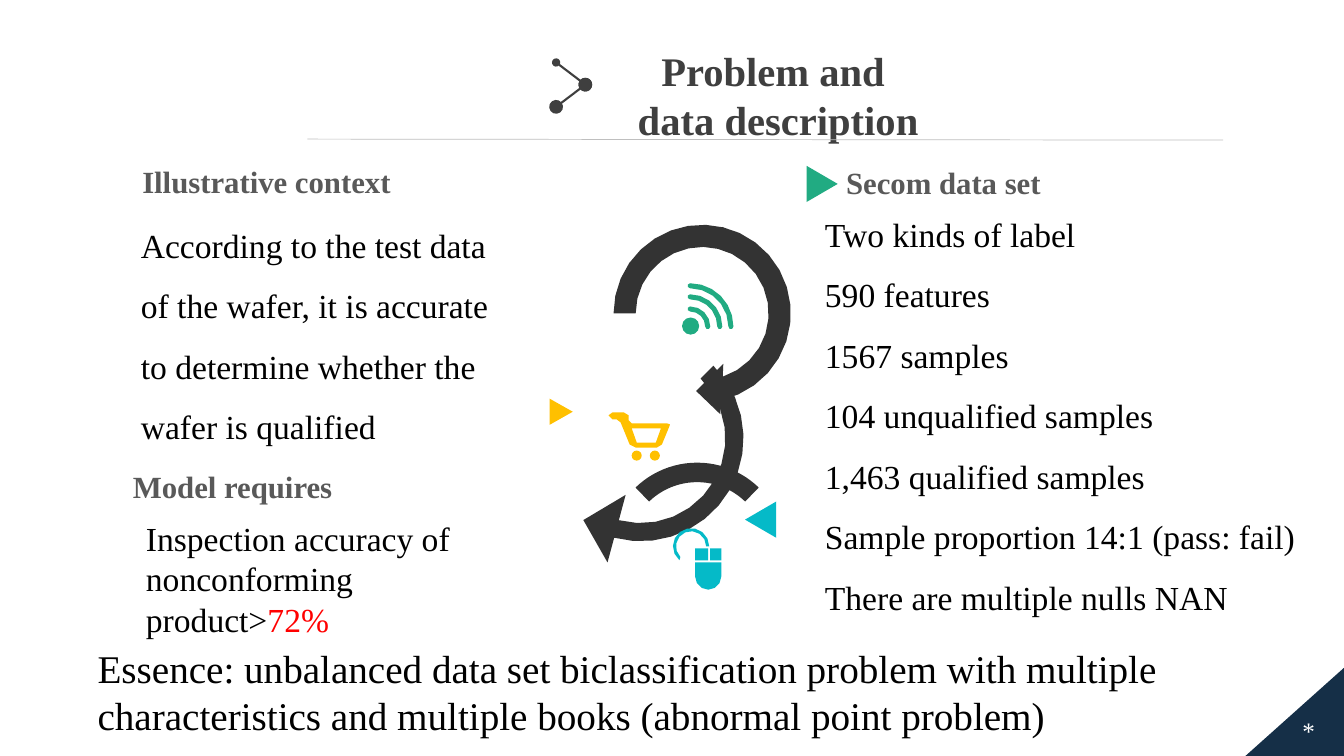
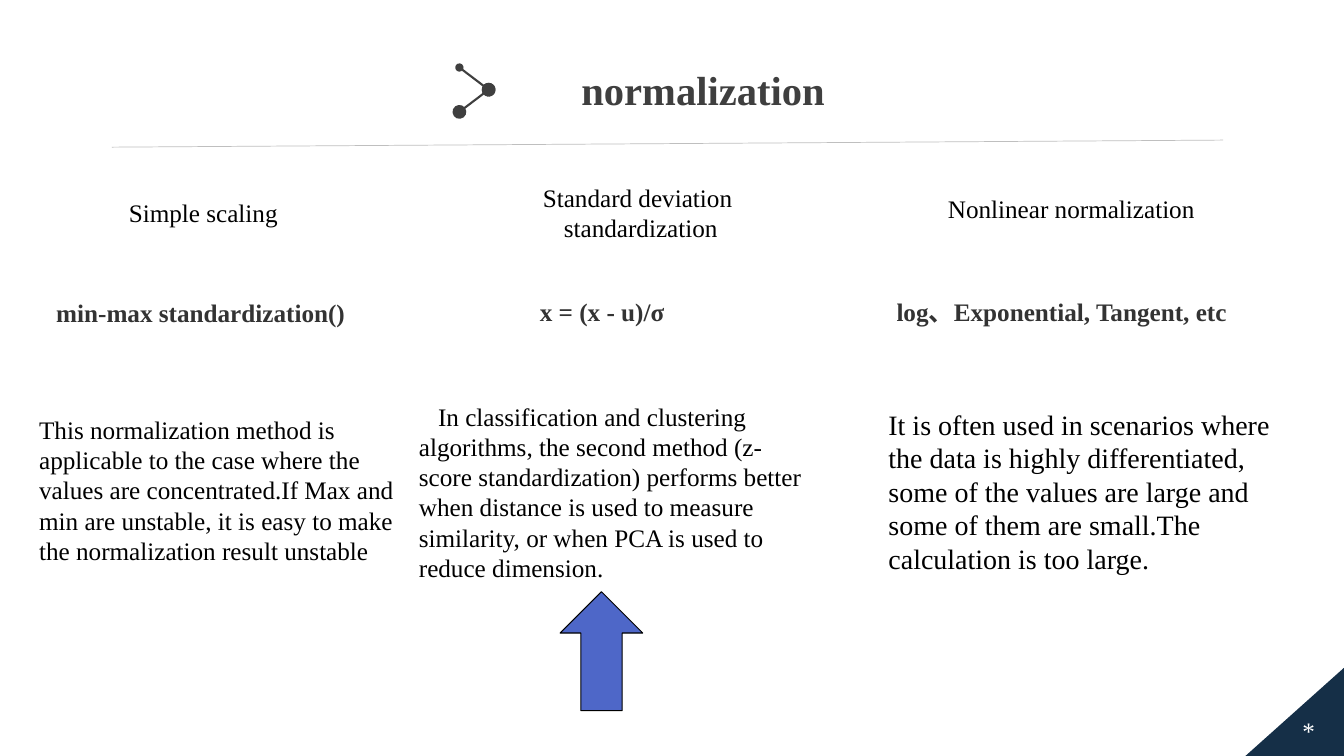
from math import acos, ceil, cos, degrees, radians, sin

from lxml import etree
from pptx import Presentation
from pptx.dml.color import RGBColor
from pptx.enum.shapes import MSO_CONNECTOR, MSO_SHAPE
from pptx.enum.text import MSO_ANCHOR, MSO_AUTO_SIZE, PP_ALIGN
from pptx.oxml.ns import qn
from pptx.util import Pt

PX = 9144  # EMU per px, 100 px to the inch
FONT = "Times New Roman"
BLACK = RGBColor(0x00, 0x00, 0x00)
WHITE = RGBColor(0xFF, 0xFF, 0xFF)
NAVY = RGBColor(0x15, 0x2F, 0x47)
TITLE_GRAY = RGBColor(0x3F, 0x3F, 0x3F)
HEADING_GRAY = RGBColor(0x59, 0x59, 0x59)
CHARCOAL = RGBColor(0x33, 0x33, 0x33)
RULE_GRAY = RGBColor(0xBF, 0xBF, 0xBF)
GREEN = RGBColor(0x21, 0xAB, 0x82)
CYAN = RGBColor(0x05, 0xBA, 0xC8)
AMBER = RGBColor(0xFF, 0xC0, 0x00)
RED = RGBColor(0xFF, 0x00, 0x00)
BLUE = RGBColor(0x4E, 0x67, 0xC8)

LEFT, CENTER = PP_ALIGN.LEFT, PP_ALIGN.CENTER
TOP, MIDDLE = MSO_ANCHOR.TOP, MSO_ANCHOR.MIDDLE
NO_AUTOFIT = MSO_AUTO_SIZE.NONE
STRAIGHT = MSO_CONNECTOR.STRAIGHT
TRIANGLE, RIGHT_TRIANGLE = MSO_SHAPE.ISOSCELES_TRIANGLE, MSO_SHAPE.RIGHT_TRIANGLE
OVAL, UP_ARROW, BLOCK_ARC = MSO_SHAPE.OVAL, MSO_SHAPE.UP_ARROW, MSO_SHAPE.BLOCK_ARC


def write(holder, paragraphs, size, color, bold=False, align=LEFT, wrap=True,
          spacing=1.0, anchor=TOP):
    """Fill a text holder; each paragraph is a list of (text, colour or None)."""
    frame = holder.text_frame
    frame.word_wrap = wrap
    frame.auto_size = NO_AUTOFIT
    frame.vertical_anchor = anchor
    for number, runs in enumerate(paragraphs):
        paragraph = frame.add_paragraph() if number else frame.paragraphs[0]
        paragraph.alignment = align
        paragraph.line_spacing = spacing
        for text, run_color in runs:
            run = paragraph.add_run()
            run.text = text
            run.font.name = FONT
            run.font.size = Pt(size)
            run.font.bold = bold
            run.font.color.rgb = run_color or color


def arc(cx, cy, radius, start, end):
    """Points along an arc, at most half a px flat; degrees run clockwise from the right."""
    widest_step = 2 * degrees(acos(1 - 0.5 / radius))
    steps = ceil(abs(end - start) / widest_step)
    angles = [radians(start + (end - start) * i / steps) for i in range(steps + 1)]
    return [(cx + radius * cos(a), cy + radius * sin(a)) for a in angles]


prs = Presentation()
prs.slide_width, prs.slide_height = 1334 * PX, 750 * PX
title_only = prs.slide_layouts[5]

# Shared parts: title, branch icon, rule and page corner
headers = [
    (["Problem and ", "data description"], CENTER, (623, 41, 299, 107),
     (552, 62), (305, 138)),
    (["normalization"], LEFT, (567, 59, 262, 58), (456, 67), (111, 146)),
]
slides = []
for title_lines, title_align, title_box, (icon_x, icon_y), rule_start in headers:
    slide = prs.slides.add_slide(title_only)
    slides.append(slide)
    title = slide.shapes.title
    title.left, title.top, title.width, title.height = [v * PX for v in title_box]
    write(title, [[(line, None)] for line in title_lines], 29, TITLE_GRAY,
          bold=True, align=title_align, wrap=False)

    # Start, end, colour, width, sizes of the round ends
    top_dot = (icon_x, icon_y)
    right_dot = (icon_x + 29, icon_y + 22)
    low_dot = (icon_x, icon_y + 44)
    strokes = [
        (rule_start, (1214, 139), RULE_GRAY, 0.5, ()),
        (top_dot, right_dot, TITLE_GRAY, 1.5, (("headEnd", "med"), ("tailEnd", "lg"))),
        (right_dot, low_dot, TITLE_GRAY, 1.5, (("headEnd", "lg"), ("tailEnd", "lg"))),
    ]
    for (x1, y1), (x2, y2), color, width, ends in strokes:
        stroke = slide.shapes.add_connector(STRAIGHT, x1 * PX, y1 * PX, x2 * PX, y2 * PX)
        stroke.line.color.rgb = color
        stroke.line.width = Pt(width)
        for tag, size in ends:
            etree.SubElement(stroke.line._get_or_add_ln(), qn(f"a:{tag}"),
                             type="oval", w=size, len=size)
        etree.SubElement(stroke._element.spPr, qn("a:effectLst"))

    corner = slide.shapes.add_shape(RIGHT_TRIANGLE, 1234 * PX, 659 * PX, 104 * PX, 93 * PX)
    corner._element.spPr.get_or_add_xfrm().set("flipH", "1")
    corner.shadow.inherit = False
    corner.fill.solid()
    corner.fill.fore_color.rgb = NAVY
    corner.line.fill.background()
    page_mark = slide.shapes.add_textbox(1245 * PX, 697 * PX, 108 * PX, 55 * PX)
    write(page_mark, [[("*", None)]], 18, WHITE, align=CENTER, anchor=MIDDLE)

problem, normalization = slides

# Text of the problem slide
heading = dict(size=22, color=HEADING_GRAY, bold=True)
body = dict(size=24, color=BLACK)
data_facts = [
    "Two kinds of label", "590 features", "1567 samples", "104 unqualified samples",
    "1,463 qualified samples", "Sample proportion 14:1 (pass: fail)",
    "There are multiple nulls NAN",
]
problem_texts = [
    ((830, 158, 264, 47), [[("Secom data set", None)]], heading),
    ((122, 459, 285, 47), [[("Model requires", None)]], heading),
    ((98, 157, 333, 47), [[("Illustrative context", None)]], dict(heading, align=CENTER)),
    ((809, 187, 504, 730), [[(fact, None)] for fact in data_facts], dict(body, spacing=1.5)),
    ((135, 509, 415, 170),
     [[("Inspection accuracy of nonconforming product>", None), ("72%", RED)]], body),
    ((130, 198, 367, 250),
     [[("According to the test data of the wafer, it is accurate to determine "
        "whether the wafer is qualified", None)]], dict(body, spacing=1.5)),
    ((87, 634, 1218, 104),
     [[("Essence: unbalanced data set biclassification problem with multiple "
        "characteristics and multiple books (abnormal point problem)", None)]],
     dict(body, size=28)),
]

# Text of the normalization slide, column by column
label = dict(size=18, color=BLACK, wrap=False)
formula = dict(size=18, color=CHARCOAL, bold=True, wrap=False)
remark = dict(size=18, color=BLACK)
normalization_texts = [
    ((118, 191, 168, 40), [[("Simple scaling", None)]], label),
    ((46, 290, 307, 40), [[("min-max standardization()", None)]], formula),
    ((29, 406, 378, 160),
     [[("This normalization method is applicable to the case where the values are "
        "concentrated.If Max and min are unstable, it is easy to make the "
        "normalization result unstable", None)]], remark),
    ((529, 176, 214, 70), [[("Standard deviation ", None)], [("standardization", None)]],
     dict(label, align=CENTER)),
    ((526, 289, 143, 40), [[("x = (x - u)/σ", None)]], formula),
    ((931, 187, 265, 40), [[("Nonlinear normalization", None)]], label),
    ((880, 289, 362, 40), [[("log、Exponential, Tangent, etc", None)]], formula),
    ((872, 399, 414, 177),
     [[("It is often used in scenarios where the data is highly differentiated, some "
        "of the values are large and some of them are small.The calculation is too "
        "large.", None)]], dict(remark, size=20)),
    ((406, 393, 413, 190),
     [[("In classification and clustering algorithms, the second method (z-score "
        "standardization) performs better when distance is used to measure "
        "similarity, or when PCA is used to reduce dimension.", None)]], remark),
]
for slide, texts in ((problem, problem_texts), (normalization, normalization_texts)):
    for box, paragraphs, style in texts:
        holder = slide.shapes.add_textbox(*[v * PX for v in box])
        write(holder, paragraphs, **style)
# The last remark opens with a first-line indent
holder.text_frame.paragraphs[0]._p.get_or_add_pPr().set("indent", str(19 * PX))

# Curved arrows and icons: colour, then closed contours
upper_tail = arc(697, 311, 88, 180, 284) + arc(697, 311, 66, 284, 180)
upper_arrow = (arc(697, 311, 88, 283, 438) + [(715, 411), (691, 388), (718, 361)]
               + arc(697, 311, 66, 432, 283))
middle_arrow = (arc(636, 435, 102, -45, 105) + [(603, 558), (579, 516), (621, 491)]
                + arc(636, 435, 84, 105, -45))
cart_basket = [
    (662, 420), (627, 420), (624, 417), (624, 412), (619, 409), (608, 409), (604, 412),
    (608, 416), (612, 416), (616, 419), (625, 441), (631, 444), (652, 444), (657, 441),
    (664, 424), (665, 421),
]
cart_opening = [(651, 439), (632, 439), (627, 425), (656, 425)]
mouse_buttons = [[(x1, 544), (x2, 544), (x2, 556), (x1, 556)]
                 for x1, x2 in ((690, 703), (705, 716))]
mouse_body = [(690, 558), (716, 558)] + arc(703, 572, 13, 0, 180)
mouse_cable = arc(686, 542, 18, 130, 360) + arc(686, 542, 15, 360, 135)
outlines = [
    (CHARCOAL, [middle_arrow]), (CHARCOAL, [upper_arrow]), (CHARCOAL, [upper_tail]),
    (AMBER, [cart_basket, cart_opening]),
    (CYAN, mouse_buttons + [mouse_body]), (CYAN, [mouse_cable]),
]
wave_width = 5
for inner in (15, 27, 38):
    middle, cap = inner + wave_width / 2, wave_width / 2
    wave = (arc(685, 324, inner + wave_width, -90, 0) + arc(685 + middle, 324, cap, 0, 180)
            + arc(685, 324, inner, 0, -90) + arc(685, 324 - middle, cap, 90, 270))
    outlines.append((GREEN, [wave]))

drawn = []
for color, contours in outlines:
    (x, y), *rest = contours[0]
    builder = problem.shapes.build_freeform(x * PX, y * PX)
    builder.add_line_segments([(px * PX, py * PX) for px, py in rest])
    for (x, y), *rest in contours[1:]:
        builder.move_to(x * PX, y * PX)
        builder.add_line_segments([(px * PX, py * PX) for px, py in rest])
    drawn.append((builder.convert_to_shape(), color))

# Lower arc, pointers, signal dot, cart wheels and the highlight arrow
ANGLE = 0.6  # adjustment units per degree
lower_arc = (226 * ANGLE, 314 * ANGLE, 0.11)
presets = [
    (problem, BLOCK_ARC, (604, 459, 176, 176), 0, CHARCOAL, lower_arc),
    (problem, TRIANGLE, (798, 167, 36, 31), 90, GREEN, ()),
    (problem, TRIANGLE, (737, 500, 36, 31), 270, CYAN, ()),
    (problem, TRIANGLE, (544, 397, 26, 23), 90, AMBER, ()),
    (problem, OVAL, (677, 315, 17, 17), 0, GREEN, ()),
    (problem, OVAL, (627, 447, 10, 10), 0, AMBER, ()),
    (problem, OVAL, (645, 447, 10, 10), 0, AMBER, ()),
    (normalization, UP_ARROW, (556, 587, 82, 118), 0, BLUE, ()),
]
for slide, kind, box, rotation, color, adjustments in presets:
    shape = slide.shapes.add_shape(kind, *[v * PX for v in box])
    shape.rotation = rotation
    for number, value in enumerate(adjustments):
        shape.adjustments[number] = value
    drawn.append((shape, color))

for shape, color in drawn:
    shape.shadow.inherit = False
    shape.fill.solid()
    shape.fill.fore_color.rgb = color
    shape.line.fill.background()
highlight_arrow = drawn[-1][0]
highlight_arrow.line.color.rgb = BLACK
highlight_arrow.line.width = Pt(0.75)

prs.save("out.pptx")
